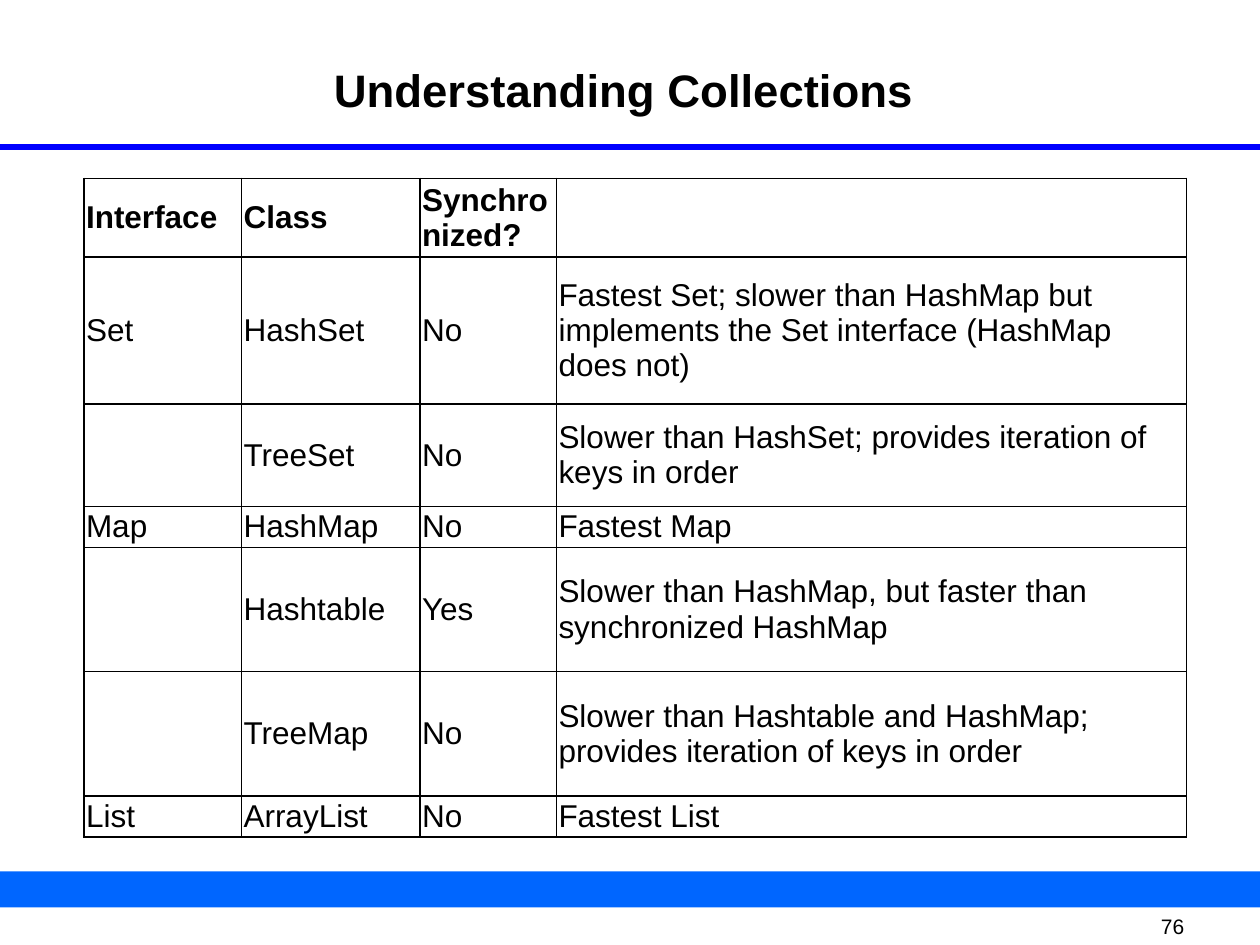
from lxml.etree import SubElement
from pptx import Presentation
from pptx.dml.color import RGBColor
from pptx.enum.shapes import MSO_CONNECTOR as Link, MSO_SHAPE as Shape
from pptx.enum.text import MSO_ANCHOR as Anchor, PP_ALIGN as Align
from pptx.oxml import parse_xml
from pptx.oxml.ns import nsdecls, qn
from pptx.util import Pt

COLS = [90, 102, 78, 360]
HEIGHTS = [42.5, 84, 58.5, 22.5, 71, 71, 22.5]
ROWS = [
    ["Interface", "Class", "Synchronized?", ""],
    ["Set", "HashSet", "No",
     "Fastest Set; slower than HashMap but implements the Set interface (HashMap does not)"],
    ["", "TreeSet", "No",
     "Slower than HashSet; provides iteration of keys in order"],
    ["Map", "HashMap", "No", "Fastest Map"],
    ["", "Hashtable", "Yes",
     "Slower than HashMap, but faster than synchronized HashMap"],
    ["", "TreeMap", "No",
     "Slower than Hashtable and HashMap; provides iteration of keys in order"],
    ["List", "ArrayList", "No", "Fastest List"],
]


def color(code):
    return RGBColor.from_string(code)


class Page:
    face = "Arial"
    ink = "000000"
    blue = "0000FF"
    band = "0066FF"

    def __init__(self, slide):
        self.slide = slide
        self.shapes = slide.shapes

    def style(self, para, size, bold=False, align=Align.LEFT):
        para.alignment = align
        font = para.font
        font.name, font.size, font.bold = self.face, Pt(size), bold
        font.color.rgb = color(self.ink)

    def inset(self, frame, x, y):
        frame.margin_left = frame.margin_right = Pt(x)
        frame.margin_top = frame.margin_bottom = Pt(y)

    def place(self, shape, x, y, w, h):
        shape.left, shape.top = Pt(x), Pt(y)
        shape.width, shape.height = Pt(w), Pt(h)

    def title(self, text, *box):
        shape = self.shapes.title
        self.place(shape, *box)
        frame = shape.text_frame
        frame.text = text
        frame.vertical_anchor = Anchor.TOP
        self.inset(frame, 1, 1)
        para = frame.paragraphs[0]
        para.space_before = Pt(3)
        self.style(para, 26, True, Align.CENTER)

    def text(self, text, size, *box):
        frame = self.shapes.add_textbox(*map(Pt, box)).text_frame
        frame.word_wrap = True
        frame.vertical_anchor = Anchor.MIDDLE
        self.inset(frame, 7.2, 0)
        frame.text = text
        self.style(frame.paragraphs[0], size, align=Align.JUSTIFY)

    def bar(self, *box):
        shape = self.shapes.add_shape(Shape.RECTANGLE, *map(Pt, box))
        shape.shadow.inherit = False
        shape.fill.solid()
        shape.fill.fore_color.rgb = color(self.band)
        shape.line.fill.background()

    def rule(self, *ends):
        line = self.shapes.add_connector(Link.STRAIGHT, *map(Pt, ends))
        line.line.color.rgb = color(self.blue)
        line.line.width = Pt(3)
        SubElement(line._element.spPr, qn("a:effectLst"))

    def border(self, cell):
        props = cell._tc.get_or_add_tcPr()
        for i, side in enumerate("LRTB"):
            props.insert(i, parse_xml(
                f'<a:ln{side} {nsdecls("a")} w="{Pt(1)}"><a:solidFill>'
                f'<a:srgbClr val="{self.ink}"/></a:solidFill></a:ln{side}>'))

    def table(self, rows, cols, heights, x, y):
        box = x, y, sum(cols), sum(heights)
        grid = self.shapes.add_table(len(rows), len(cols), *map(Pt, box)).table
        grid.first_row = grid.horz_banding = False
        for col, width in zip(grid.columns, cols):
            col.width = Pt(width)
        for r, (row, height) in enumerate(zip(rows, heights)):
            grid.rows[r].height = Pt(height)
            for c, text in enumerate(row):
                cell = grid.cell(r, c)
                cell.text = text
                cell.vertical_anchor = Anchor.MIDDLE
                self.inset(cell, 1.2, 0.9)
                cell.fill.background()
                self.border(cell)
                self.style(cell.text_frame.paragraphs[0], 18, r == 0)


def main():
    deck = Presentation()
    deck.slide_width, deck.slide_height = Pt(720), Pt(540)
    page = Page(deck.slides.add_slide(deck.slide_layouts[5]))
    page.text(" 76", 12, 653, 522, 55, 14)
    page.bar(0, 498, 720, 20.5)
    page.rule(0, 84, 720, 84)
    page.title("Understanding Collections ", 48, 34.5, 624, 69)
    page.table(ROWS, COLS, HEIGHTS, 48, 102)
    deck.save("out.pptx")


if __name__ == "__main__":
    main()
